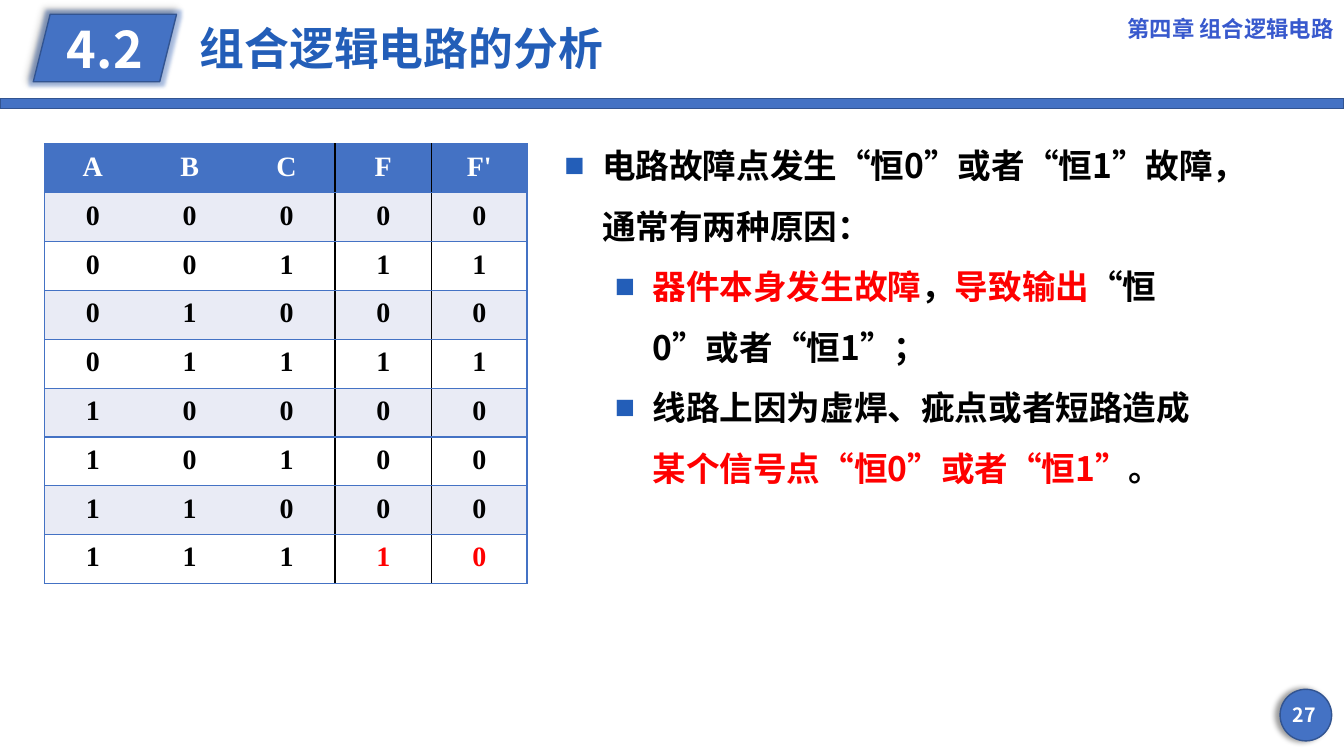
from lxml import etree
from pptx import Presentation
from pptx.dml.color import RGBColor
from pptx.enum.shapes import MSO_SHAPE
from pptx.enum.text import MSO_ANCHOR, MSO_AUTO_SIZE, PP_ALIGN
from pptx.oxml import parse_xml
from pptx.oxml.ns import nsdecls, qn
from pptx.util import Cm, Pt

RECT, OVAL, SLANT = MSO_SHAPE.RECTANGLE, MSO_SHAPE.OVAL, MSO_SHAPE.PARALLELOGRAM
LEFT, MID, RIGHT = PP_ALIGN.LEFT, PP_ALIGN.CENTER, PP_ALIGN.RIGHT
CENTER, TOP = MSO_ANCHOR.MIDDLE, MSO_ANCHOR.TOP
BLUE = RGBColor(0x44, 0x72, 0xC4)
EDGE = RGBColor(0x32, 0x54, 0x91)
TITLE = RGBColor(0x23, 0x5E, 0xB8)
CHAPTER = RGBColor(0x38, 0x59, 0xCD)
BAND = RGBColor(0xE9, 0xEB, 0xF5)
WHITE = RGBColor(0xFF, 0xFF, 0xFF)
BLACK = RGBColor(0, 0, 0)
RED = RGBColor(0xFF, 0, 0)
SANS, SERIF = "Noto Sans CJK SC", "Times New Roman"


def style(para, size, color, align=LEFT, face=SANS):
    para.alignment = align
    font = para.font
    font.size, font.bold, font.name = Pt(size), True, face
    font.color.rgb = color
    latin = para._p.pPr.find(qn("a:defRPr")).find(qn("a:latin"))
    east = etree.Element(qn("a:ea"), typeface=face)
    latin.addnext(east)


def put(shape, text, size, color, align):
    frame = shape.text_frame
    frame.vertical_anchor = CENTER
    frame.text = text
    style(frame.paragraphs[0], size, color, align)
    return frame


deck = Presentation()
deck.slide_width, deck.slide_height = Cm(33.87), Cm(19.05)
slide = deck.slides.add_slide(deck.slide_layouts[1])
shapes = slide.shapes

# Header bar, page disc and section badge; shadow given by its angle
parts = []
for kind, box, angle in [
    (RECT, (0, 2.49, 33.87, 0.25), None),
    (OVAL, (32.26, 17.37, 1.3, 1.3), 180),
    (SLANT, (0.84, 0.36, 3.61, 1.7), 225),
]:
    part = shapes.add_shape(kind, *map(Cm, box))
    part.shadow.inherit = False
    part.fill.solid()
    part.fill.fore_color.rgb = BLUE
    part.line.color.rgb = EDGE
    part.line.width = Pt(1)
    if angle:
        glow = f'<a:glow rad="63500"><a:srgbClr val="{BLUE}"><a:alpha val="40000"/></a:srgbClr></a:glow>'
        part._element.spPr.replace(part._element.spPr.find(qn("a:effectLst")), parse_xml(
            f'<a:effectLst {nsdecls("a")}>{glow if kind == SLANT else ""}'
            f'<a:outerShdw blurRad="50800" dist="38100" dir="{angle * 60000}" rotWithShape="0">'
            '<a:srgbClr val="000000"><a:alpha val="40000"/></a:srgbClr>'
            '</a:outerShdw></a:effectLst>'))
    parts.append(part)
badge = put(parts[2], "4.2", 36, WHITE, MID)
badge.word_wrap = False

# Page number and chapter name
for text, box, size, color, align in [
    ("27", (32.08, 17.5, 1.57, 1.02), 14, WHITE, MID),
    ("第四章 组合逻辑电路", (28.02, 0, 5.84, 1.42), 16, CHAPTER, RIGHT),
]:
    label = put(shapes.add_textbox(*map(Cm, box)), text, size, color, align)
    label.word_wrap = True

# Title
title = shapes.title
title.left, title.top, title.width, title.height = map(Cm, (4.78, 0.28, 22.17, 2.03))
put(title, "组合逻辑电路的分析", 32, TITLE, LEFT).paragraphs[0].line_spacing = 0.9

# Truth table
rows = ["ABC", "000", "001", "010", "011", "100", "101", "110", "111"]
outs = [("F", "F'"), "00", "11", "00", "11", "00", "00", "00", "10"]
frame = shapes.add_table(9, 5, Cm(1.12), Cm(3.63), Cm(12.16), Cm(11.07))
table = frame.table
for i, col in enumerate(table.columns):
    col.width = Cm(2.4 if i == 4 else 2.44)
for r, (ins, out) in enumerate(zip(rows, outs)):
    table.rows[r].height = Cm(1.23)
    for c, text in enumerate([*ins, *out]):
        cell = table.cell(r, c)
        cell.text = text
        cell.vertical_anchor = CENTER
        cell.margin_top = cell.margin_bottom = 0
        para = cell.text_frame.paragraphs[0]
        para.line_spacing = Pt(20)
        color = WHITE if r == 0 else RED if r == 8 and c > 2 else BLACK
        style(para, 20, color, MID, SERIF)
        sides = {"L": {0: BLUE, 3: BLACK, 4: BLACK}.get(c),
                 "R": {2: BLACK, 3: BLACK, 4: BLUE}.get(c),
                 "T": BLUE, "B": BLUE}
        for side, ink in sides.items():
            fill = f'<a:solidFill><a:srgbClr val="{ink}"/></a:solidFill>' if ink else "<a:noFill/>"
            cell._tc.get_or_add_tcPr().append(parse_xml(
                f'<a:ln{side} {nsdecls("a")} w="12700">{fill}</a:ln{side}>'))
        cell.fill.solid()
        cell.fill.fore_color.rgb = BLUE if r == 0 else BAND if r % 2 else WHITE

# Fault causes
body = slide.placeholders[1]
body.left, body.top, body.width, body.height = map(Cm, (13.97, 3.02, 16.94, 9.5))
text = body.text_frame
text.auto_size = MSO_AUTO_SIZE.NONE
text.vertical_anchor = TOP
points = [
    (0, [("电路故障点发生“恒0”或者“恒1”故障，通常有两种原因：", BLACK)]),
    (1, [("器件本身发生故障", RED), ("，", BLACK), ("导致输出", RED),
         ("“恒0”或者“恒1”；", BLACK)]),
    (1, [("线路上因为虚焊、疵点或者短路造成", BLACK),
         ("某个信号点“恒0”或者“恒1”", RED), ("。", BLACK)]),
]
for i, (level, runs) in enumerate(points):
    para = text.add_paragraph() if i else text.paragraphs[0]
    para.level = level
    props = para._p.get_or_add_pPr()
    props.set("marL", str(Cm(0.95 + 1.27 * level)))
    props.set("indent", str(-Cm(0.95)))
    tint = etree.SubElement(props, qn("a:buClr"))
    etree.SubElement(tint, qn("a:srgbClr"), val=str(TITLE))
    etree.SubElement(props, qn("a:buChar"), char="■")
    para.line_spacing = 1.5
    para.space_before = Pt(0)
    style(para, 24, BLACK)
    for words, ink in runs:
        run = para.add_run()
        run.text = words
        if ink != BLACK:
            run.font.color.rgb = ink

deck.save("out.pptx")
